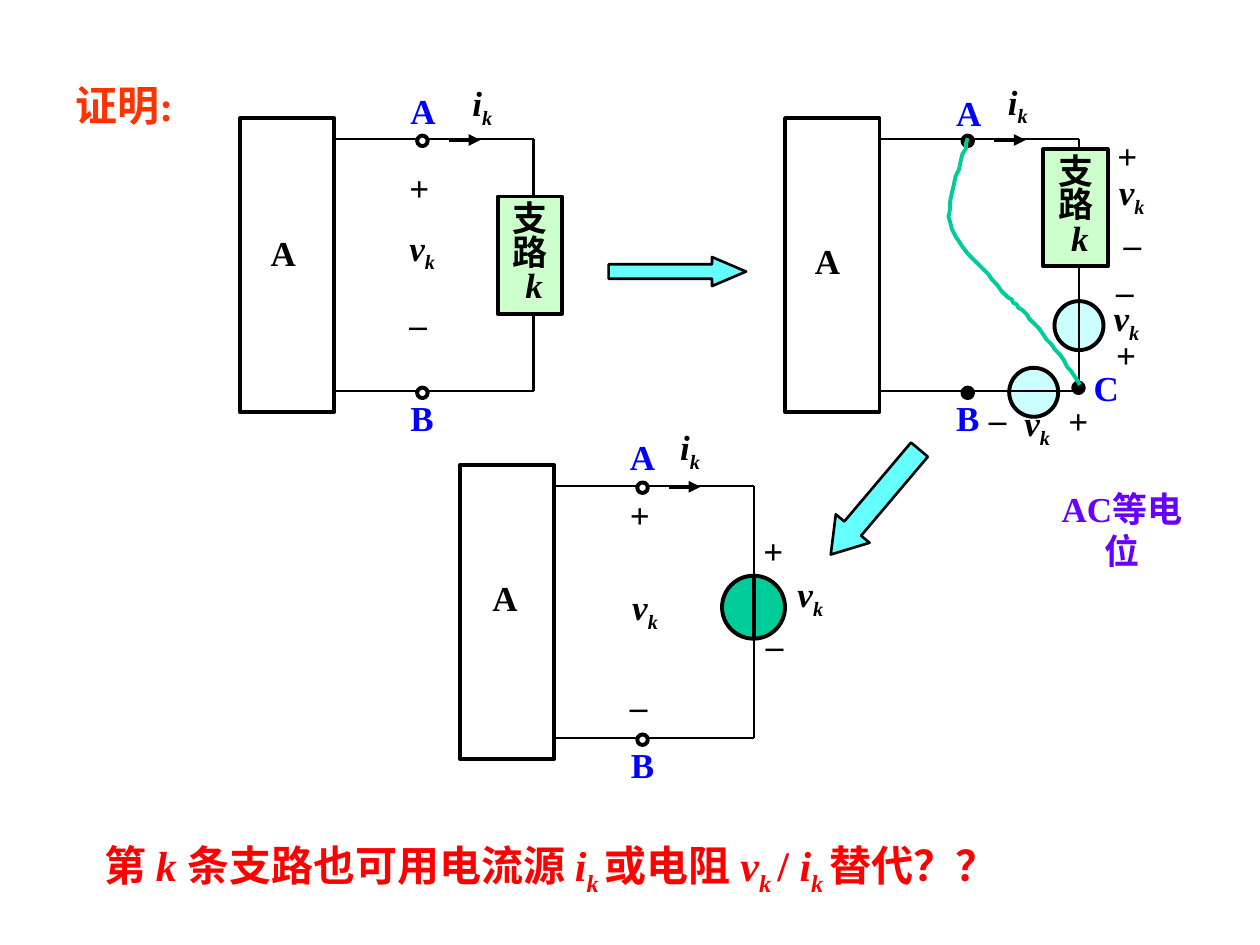
from pptx import Presentation
from pptx.dml.color import RGBColor
from pptx.enum.shapes import MSO_CONNECTOR, MSO_SHAPE
from pptx.enum.text import MSO_ANCHOR, PP_ALIGN
from pptx.oxml.ns import qn
from pptx.util import Pt
from lxml.etree import SubElement

FONT = "Times New Roman"
BLACK = RGBColor(0x00, 0x00, 0x00)
WHITE = RGBColor(0xFF, 0xFF, 0xFF)
BLUE = RGBColor(0x00, 0x00, 0xFF)
RED = RGBColor(0xFF, 0x00, 0x00)
ORANGE = RGBColor(0xFF, 0x33, 0x00)
PURPLE = RGBColor(0x66, 0x00, 0xFF)
CYAN = RGBColor(0x66, 0xFF, 0xFF)
PALE_CYAN = RGBColor(0xCC, 0xFF, 0xFF)
PALE_GREEN = RGBColor(0xCC, 0xFF, 0xCC)
TEAL = RGBColor(0x00, 0xCC, 0x99)

VK = [("v", "i"), ("k", "is")]
IK = [("i", "i"), ("k", "is")]
BRANCH = [[("支", "")], [("路", "")], [(" ", ""), ("k", "i")]]
CONCLUSION = [
    ("第 ", ""), ("k ", "i"), ("条支路也可用电流源 ", ""), ("i", "i"), ("k ", "is"),
    ("或电阻 ", ""), ("v", "i"), ("k ", "is"), ("/ ", ""), ("i", "i"), ("k ", "is"),
    ("替代？？", ""),
]

CIRCUITS = [
    {
        "origin": (137, 67.5), "node": WHITE, "branch": (284.4, 112.3), "sources": [],
        "labels": [("A", 147.6, 129), (IK, 262.8, 44.6), ("+", 226.8, 91.4),
                   (VK, 226.8, 127.4), ("–", 226.8, 169.2)],
        "nodes": [("A", 227.5, 47.5), ("B", 227.5, 223.2)],
    },
    {
        "origin": (448.6, 67.5), "node": BLACK, "branch": (596.2, 85.3),
        "sources": [(576.7, 210.2, 28, PALE_CYAN), (602.6, 172.1, 28, PALE_CYAN)],
        "labels": [("A", 458.6, 133.2), (IK, 568.8, 43.9), ("+", 631.4, 73.4),
                   (VK, 632.2, 95.8), ("–", 635, 123.8), ("–", 630.7, 150.5),
                   (VK, 629.3, 167.8), ("+", 630.7, 187.2), ("–", 558, 223.9),
                   (VK, 578.2, 227.5), ("+", 603.4, 224.6)],
        "nodes": [("A", 539.3, 49), ("B", 539.3, 223.2), ("C", 617.8, 205.9)],
    },
    {
        "origin": (262.8, 265.7), "node": WHITE, "branch": None,
        "sources": [(412.6, 329, 36, TEAL)],
        "labels": [("A", 274.3, 326.2), (IK, 381.6, 241.2), ("+", 352.8, 278.6),
                   (VK, 354.2, 332.6), ("–", 352.8, 387.4), ("+", 429.1, 298.8),
                   (VK, 448.6, 325.4), ("–", 430.6, 352.8)],
        "nodes": [("A", 352.8, 245.5), ("B", 353.5, 421.2)],
    },
]
BOX_W, BOX_H = 54, 168
WIRE_RIGHT, WIRE_INSET = 168, 12
NODE_X, NODE_SIZE = 104.4, 6
ARROWS = [(347.8, 146.9, 78.5, 16.6, 1.17, 0), (460.8, 274.3, 78.5, 25.2, 0.77, 130.2)]
CURVE_START = (553, 79.2)
CURVE = [
    ((551.5, 87.8), (540, 113), (542.9, 127.4)),
    ((546.5, 141.8), (563.8, 155.5), (572.4, 165.6)),
    ((580.3, 175), (584.6, 176.4), (591.8, 185.8)),
    ((599.8, 194.4), (612, 212.4), (617, 219.6)),
]


def write(p, runs, size=20, color=BLACK):
    f = p.font
    f.name, f.size, f.bold, f.color.rgb = FONT, Pt(size), True, color
    for text, style in runs:
        r = p.add_run()
        r.text = text
        if "i" in style:
            r.font.italic = True
        if "s" in style:
            r._r.get_or_add_rPr().set("baseline", "-25000")


def add_text(runs, x, y, w, h=31, size=20, color=BLACK, align=PP_ALIGN.LEFT, spacing=None):
    tf = s.shapes.add_textbox(Pt(x), Pt(y), Pt(w), Pt(h)).text_frame
    tf.word_wrap = True
    tf.vertical_anchor = MSO_ANCHOR.MIDDLE
    p = tf.paragraphs[0]
    p.alignment = align
    if spacing:
        p.line_spacing = spacing
    write(p, [(runs, "")] if isinstance(runs, str) else runs, size, color)


def add_shape(kind, x, y, w, h, fill=None, weight=2.25):
    sp = s.shapes.add_shape(kind, Pt(x), Pt(y), Pt(w), Pt(h))
    sp.shadow.inherit = False
    if fill is None:
        sp.fill.background()
    else:
        sp.fill.solid()
        sp.fill.fore_color.rgb = fill
    sp.line.color.rgb = BLACK
    sp.line.width = Pt(weight)
    return sp


def add_node(cx, cy, fill):
    half = NODE_SIZE / 2
    add_shape(MSO_SHAPE.OVAL, cx - half, cy - half, NODE_SIZE, NODE_SIZE, fill)


def add_line(x1, y1, x2, y2, weight=1.5, arrow=False):
    c = s.shapes.add_connector(MSO_CONNECTOR.STRAIGHT, Pt(x1), Pt(y1), Pt(x2), Pt(y2))
    c.line.color.rgb = BLACK
    c.line.width = Pt(weight)
    if arrow:
        SubElement(c.line._get_or_add_ln(), qn("a:tailEnd"), type="triangle")
    SubElement(c._element.spPr, qn("a:effectLst"))


def add_branch(x, y):
    tf = add_shape(MSO_SHAPE.RECTANGLE, x, y, 36.8, 67, PALE_GREEN).text_frame
    tf.word_wrap = False
    tf.vertical_anchor = MSO_ANCHOR.MIDDLE
    for i, runs in enumerate(BRANCH):
        p = tf.add_paragraph() if i else tf.paragraphs[0]
        p.alignment = PP_ALIGN.CENTER
        p.line_spacing = 0.8
        write(p, runs)


def add_circuit(circuit):
    x, y = circuit["origin"]
    top, bottom, right = y + WIRE_INSET, y + BOX_H - WIRE_INSET, x + WIRE_RIGHT
    add_shape(MSO_SHAPE.RECTANGLE, x, y, BOX_W, BOX_H)
    for sx, sy, size, fill in circuit["sources"]:
        add_shape(MSO_SHAPE.OVAL, sx, sy, size, size, fill)
        if fill == TEAL:
            add_line(right, sy, right, sy + size, 2.25)
    for wire_y in (top, bottom):
        add_line(x + BOX_W, wire_y, right, wire_y)
        add_node(x + NODE_X, wire_y + 1, circuit["node"])
    add_line(right, top, right, bottom)
    add_line(x + 119.5, top + 0.5, x + 137.5, top + 0.5, 2.25, True)
    if circuit["branch"]:
        add_branch(*circuit["branch"])
    for runs, lx, ly in circuit["labels"]:
        add_text(runs, lx, ly, 30 if len(runs) == 1 else 43)
    for name, lx, ly in circuit["nodes"]:
        add_text(name, lx, ly, 30, color=BLUE)


def curve_points(start, segments, steps=12):
    for c1, c2, end in segments:
        for i in range(1, steps + 1):
            t = i / steps
            u = 1 - t
            yield tuple(
                u**3 * a + 3 * u * u * t * b + 3 * u * t * t * c + t**3 * d
                for a, b, c, d in zip(start, c1, c2, end)
            )
        start = end


prs = Presentation()
prs.slide_width, prs.slide_height = Pt(720), Pt(540)
s = prs.slides.add_slide(prs.slide_layouts[6])

add_text("证明:", 36, 41.8, 70.5, 36, 24, ORANGE)
for circuit in CIRCUITS:
    add_circuit(circuit)
add_node(616.3, 221.6, BLACK)

builder = s.shapes.build_freeform(*CURVE_START, scale=Pt(1))
builder.add_line_segments(curve_points(CURVE_START, CURVE), close=False)
link = builder.convert_to_shape()
link.shadow.inherit = False
link.fill.background()
link.line.color.rgb = TEAL
link.line.width = Pt(2.25)

for x, y, w, h, head, angle in ARROWS:
    sp = add_shape(MSO_SHAPE.RIGHT_ARROW, x, y, w, h, CYAN, 1.5)
    sp.adjustments[1] = head
    sp.rotation = angle

add_text("AC等电位", 589.7, 287.3, 103, color=PURPLE, align=PP_ALIGN.CENTER)
add_text(CONCLUSION, 52.6, 471.6, 640, 42.5, 24, RED, PP_ALIGN.JUSTIFY, 1.2)
prs.save("out.pptx")
